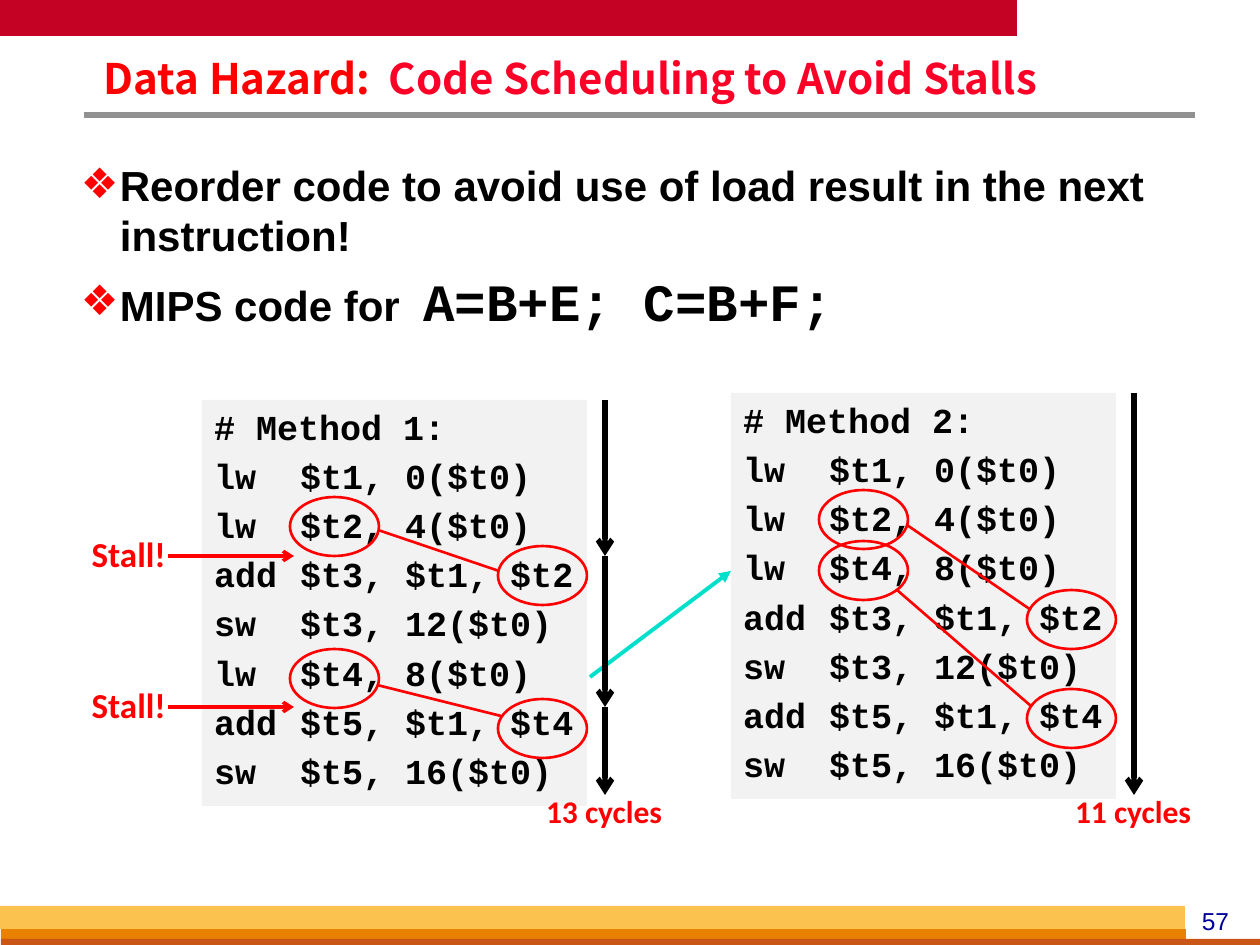
from pptx import Presentation
from pptx.dml.color import RGBColor
from pptx.enum.shapes import MSO_CONNECTOR, MSO_SHAPE
from pptx.enum.text import MSO_ANCHOR, PP_ALIGN
from pptx.oxml.ns import qn
from pptx.util import Pt
from lxml.etree import SubElement

PX = 914400 / 126
RED = RGBColor(0xFF, 0, 0)
CRIMSON = RGBColor(0xFC, 0x01, 0x28)
BLACK = RGBColor(0, 0, 0)
NAVY = RGBColor(0, 0, 0x99)
GRAY = RGBColor(0x91, 0x91, 0x91)
PALE = RGBColor(0xF2, 0xF2, 0xF2)
CYAN = RGBColor(0, 0xDF, 0xCA)

BARS = [
    (0, 0, 1017, 36, RGBColor(0xC3, 0x02, 0x24)),
    (1, 929, 1185, 10, RGBColor(0xE8, 0x80, 0x00)),
    (1, 939, 1259, 6, RGBColor(0xC9, 0x56, 0x16)),
    (0, 906, 1185, 23, RGBColor(0xFC, 0xC2, 0x4F)),
]
TITLE = [("Data Hazard:  ", RED), ("Code Scheduling to Avoid Stalls", CRIMSON)]
BULLETS = [
    [("Reorder code to avoid use of load result in the next instruction!", "Arial", 24)],
    [("MIPS code for  ", "Arial", 24), ("A=B+E; C=B+F;", "Courier New", 30)],
]
METHODS = [
    (202, 400, ["# Method 1:", "lw\t$t1, 0($t0)", "lw\t$t2, 4($t0)", "add\t$t3, $t1, $t2",
                "sw\t$t3, 12($t0)", "lw\t$t4, 8($t0)", "add\t$t5, $t1, $t4", "sw\t$t5, 16($t0)"]),
    (731, 393, ["# Method 2:", "lw\t$t1, 0($t0)", "lw\t$t2, 4($t0)", "lw\t$t4, 8($t0)",
                "add\t$t3, $t1, $t2", "sw\t$t3, 12($t0)", "add\t$t5, $t1, $t4", "sw\t$t5, 16($t0)"]),
]
DEPENDENCIES = [
    ((290, 497), (498, 546), (378, 530, 499, 571)),
    ((290, 649), (498, 699), (377, 685, 501, 716)),
    ((819, 490), (1027, 590), (907, 525, 1031, 610)),
    ((819, 541), (1027, 689), (897, 590, 1031, 706)),
]
STALLS = [556, 707]
TIMELINES = [("13 cycles", 605, [400, *STALLS, 795]), ("11 cycles", 1134, [393, 795])]

prs = Presentation()
prs.slide_width, prs.slide_height = round(1260 * PX), round(945 * PX)
s = prs.slides.add_slide(prs.slide_layouts[6])


def emu(*lengths):
    return [round(v * PX) for v in lengths]


def add_shape(kind, x, y, w, h, fill=None, line=None):
    sp = s.shapes.add_shape(kind, *emu(x, y, w, h))
    sp.shadow.inherit = False
    if fill is None:
        sp.fill.background()
    else:
        sp.fill.solid()
        sp.fill.fore_color.rgb = fill
    if line is None:
        sp.line.fill.background()
    else:
        sp.line.color.rgb = line
        sp.line.width = Pt(1.5)
    return sp


def add_line(x1, y1, x2, y2, color, width, head=None):
    c = s.shapes.add_connector(MSO_CONNECTOR.STRAIGHT, *emu(x1, y1, x2, y2))
    c.line.color.rgb = color
    c.line.width = Pt(width)
    if head:
        SubElement(c.line._get_or_add_ln(), qn("a:tailEnd"), type=head)
    SubElement(c._element.spPr, qn("a:effectLst"))


def set_frame(sp, left, top, right, bottom):
    tf = sp.text_frame
    tf.word_wrap = True
    tf.vertical_anchor = MSO_ANCHOR.TOP
    tf.margin_left, tf.margin_top, tf.margin_right, tf.margin_bottom = emu(left, top, right, bottom)
    return tf


def add_text(x, y, w, h, left=0, top=0, right=0, bottom=0):
    return set_frame(s.shapes.add_textbox(*emu(x, y, w, h)), left, top, right, bottom)


def add_run(p, text, font, size, color, bold=True):
    r = p.add_run()
    r.text = text
    r.font.name, r.font.size, r.font.bold = font, Pt(size), bold
    r.font.color.rgb = color
    for tag in ("a:ea", "a:cs"):
        SubElement(r.font._element, qn(tag), typeface=font)


def paragraphs(tf, items):
    for i, item in enumerate(items):
        yield i, tf.paragraphs[0] if i == 0 else tf.add_paragraph(), item


def add_bullet(p, indent):
    pPr = p._p.get_or_add_pPr()
    pPr.set("marL", str(indent))
    pPr.set("indent", str(-indent))
    SubElement(SubElement(pPr, qn("a:buClr")), qn("a:srgbClr"), val=str(RED))
    SubElement(pPr, qn("a:buFont"), typeface="Arial")
    SubElement(pPr, qn("a:buChar"), char="❖")


for *box, color in BARS:
    add_shape(MSO_SHAPE.RECTANGLE, *box, fill=color)
add_line(84, 115, 1195, 115, GRAY, 3)

p = add_text(1176, 900, 79, 41, top=6).paragraphs[0]
p.alignment = PP_ALIGN.CENTER
add_run(p, "57", "Arial", 14, NAVY, False)

p = add_text(95, 55, 1039, 52, 9, 4, 9, 4).paragraphs[0]
p.line_spacing = 0.87
for text, color in TITLE:
    add_run(p, text, "Noto Sans CJK SC", 24, color)

tf = add_text(72, 155, 1134, 254, 9, 4, 9, 4)
for i, p, runs in paragraphs(tf, BULLETS):
    p.space_before = Pt(3 if i else 0)
    p.space_after = Pt(2.4)
    add_bullet(p, emu(39)[0])
    for text, font, size in runs:
        add_run(p, text, font, size, BLACK)

for x, y, code in METHODS:
    tf = set_frame(add_shape(MSO_SHAPE.RECTANGLE, x, y, 385, 406, fill=PALE), 12, 6, 0, 6)
    for i, p, text in paragraphs(tf, code):
        p.alignment = PP_ALIGN.LEFT
        p.space_before = Pt(4 if i else 0)
        tabs = SubElement(p._p.get_or_add_pPr(), qn("a:tabLst"))
        SubElement(tabs, qn("a:tab"), pos=str(emu(86)[0]), algn="l")
        add_run(p, text, "Courier New", 20, BLACK)

add_line(590, 677, 731, 571, CYAN, 2.25, "triangle")

for source, target, link in DEPENDENCIES:
    for x, y in (source, target):
        add_shape(MSO_SHAPE.OVAL, x, y, 89, 59, line=RED)
    add_line(*link, RED, 1.5)

for y in STALLS:
    p = add_text(76, y - 30, 103, 55, top=6, right=13).paragraphs[0]
    p.alignment = PP_ALIGN.RIGHT
    add_run(p, "Stall!", "Calibri", 20, RED)
    add_line(168, y, 294, y, RED, 2, "arrow")

for label, x, stops in TIMELINES:
    for start, end in zip(stops, stops[1:]):
        add_line(x, start, x, end, BLACK, 3, "arrow")
    p = add_text(x - 72, 786, 142, 50, top=6).paragraphs[0]
    p.alignment = PP_ALIGN.CENTER
    add_run(p, label, "Calibri", 18, RED)

prs.save("out.pptx")
